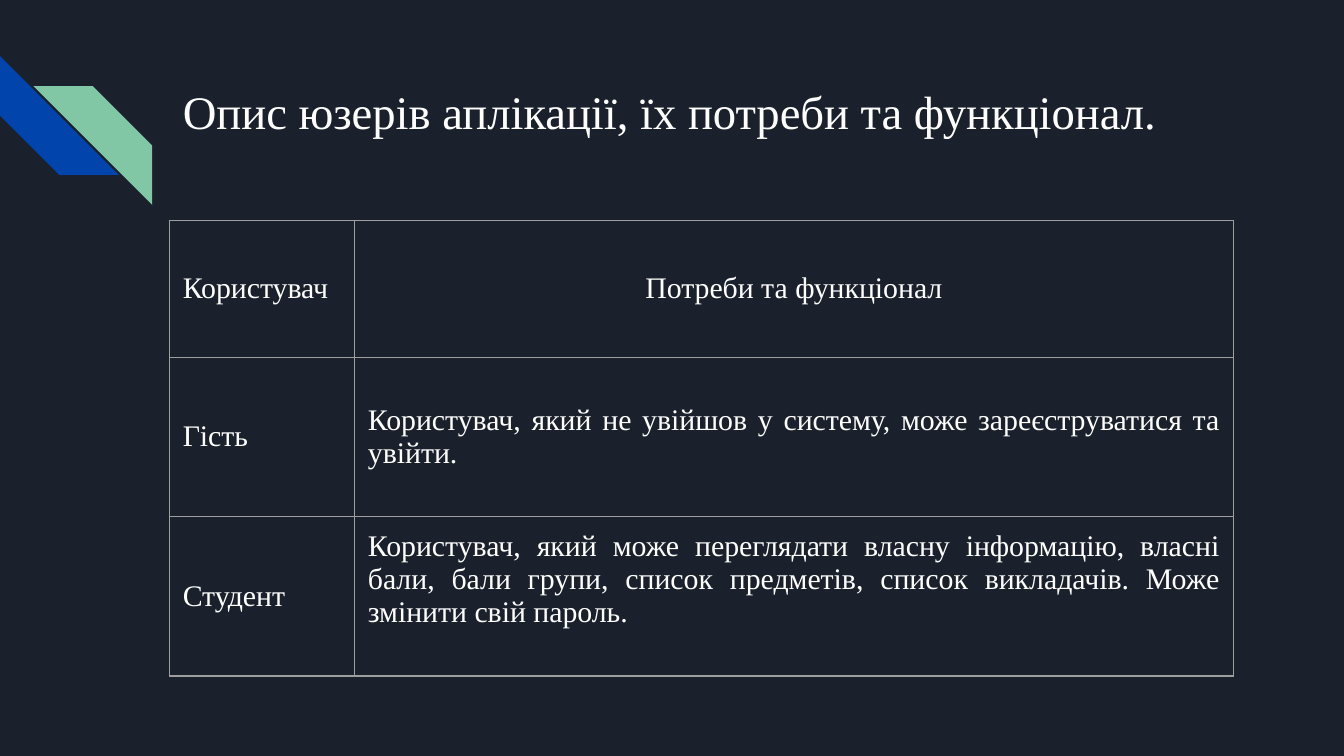
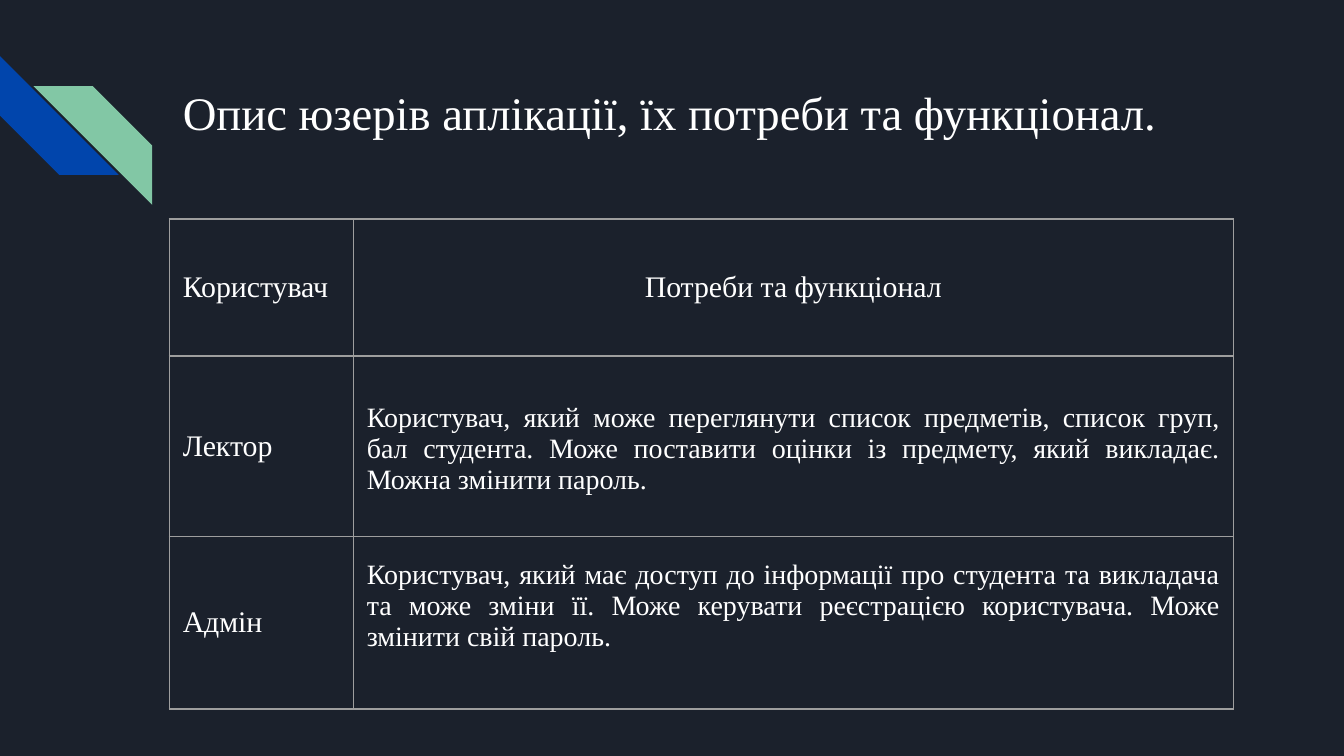
"""Builds two dark slides that list the application's users and their needs."""
from lxml.etree import SubElement
from pptx import Presentation
from pptx.dml.color import RGBColor
from pptx.enum.shapes import MSO_SHAPE
from pptx.enum.text import MSO_ANCHOR, MSO_AUTO_SIZE, PP_ALIGN
from pptx.oxml.ns import qn
from pptx.util import Pt

NIGHT = RGBColor(0x1B, 0x21, 0x2C)
BLUE = RGBColor(0x01, 0x45, 0xAC)
GREEN = RGBColor(0x82, 0xC7, 0xA5)
WHITE = RGBColor(0xFF, 0xFF, 0xFF)
GREY = RGBColor(0x9E, 0x9E, 0x9E)
FONT = "Times New Roman"
INSET = 7.2
DEEP_INSET = 25
LEFT = 90.7
TABLE_WIDTH = 570.2
STRIPE_SIZE = 63.6

TITLE = "Опис юзерів аплікації, їх потреби та функціонал."
HEADER = [("Користувач", {}), ("Потреби та функціонал", {"align": PP_ALIGN.CENTER})]
SLIDES = [
    {
        "title_top": 32.6, "table_top": 118, "first_column": 99.2,
        "heights": [73.4, 85.2, 85.6],
        "rows": [
            HEADER,
            [("Гість", {}),
             ("Користувач, який не увійшов у систему, може зареєструватися та увійти.", {})],
            [("Студент", {}),
             ("Користувач, який може переглядати власну інформацію, власні бали, бали групи, "
              "список предметів, список викладачів. Може змінити свій пароль.",
              {"bottom": DEEP_INSET})],
        ],
    },
    {
        "title_top": 33.4, "table_top": 117.3, "first_column": 98.6,
        "heights": [73.4, 96.8, 92.4],
        "rows": [
            HEADER,
            [("Лектор", {}),
             ("Користувач, який може переглянути список предметів, список груп, бал студента. "
              "Може поставити оцінки із предмету, який викладає. Можна змінити пароль.",
              {"size": 15, "top": DEEP_INSET, "anchor": MSO_ANCHOR.TOP})],
            [("Адмін", {}),
             ("Користувач, який має доступ до інформації про студента та викладача та може "
              "зміни її. Може керувати реєстрацією користувача. Може змінити свій пароль.",
              {"size": 15, "bottom": DEEP_INSET})],
        ],
    },
]


def write(frame, text, size=16, align=PP_ALIGN.JUSTIFY, anchor=MSO_ANCHOR.MIDDLE,
          top=INSET, bottom=INSET):
    frame.word_wrap = True
    frame.vertical_anchor = anchor
    frame.margin_left = frame.margin_right = Pt(INSET)
    frame.margin_top, frame.margin_bottom = Pt(top), Pt(bottom)
    para = frame.paragraphs[0]
    para.alignment = align
    span = para.add_run()
    span.text = text
    span.font.name, span.font.size = FONT, Pt(size)
    span.font.color.rgb = WHITE
    return para


def add_stripe(page, left, top, color):
    stripe = page.shapes.add_shape(MSO_SHAPE.DIAGONAL_STRIPE, Pt(left), Pt(top),
                                   Pt(STRIPE_SIZE), Pt(STRIPE_SIZE))
    stripe.adjustments[0] = 0.5
    stripe.shadow.inherit = False
    stripe.fill.solid()
    stripe.fill.fore_color.rgb = color
    stripe.line.fill.background()
    return stripe


def add_stripes(page):
    add_stripe(page, 0, 30.1, BLUE).rotation = 270
    green = add_stripe(page, 18, 46.2, GREEN)
    green.element.spPr.find(qn("a:xfrm")).set("flipH", "1")


def add_title(page, top):
    box = page.shapes.title
    box.left, box.top, box.width, box.height = Pt(LEFT), Pt(top), Pt(554.4), Pt(72)
    box.text_frame.auto_size = MSO_AUTO_SIZE.NONE
    para = write(box.text_frame, TITLE, size=25, anchor=MSO_ANCHOR.TOP)
    para.line_spacing = 1.15
    para.space_after = Pt(12)


def outline(cell):
    properties = cell._tc.get_or_add_tcPr()
    for side in ("lnL", "lnR", "lnT", "lnB"):
        line = SubElement(properties, qn(f"a:{side}"), w=str(Pt(0.75)))
        fill = SubElement(line, qn("a:solidFill"))
        SubElement(fill, qn("a:srgbClr"), val=str(GREY))


def add_user_table(page, content):
    rows, heights = content["rows"], content["heights"]
    table = page.shapes.add_table(len(rows), 2, Pt(LEFT), Pt(content["table_top"]),
                                  Pt(TABLE_WIDTH), Pt(sum(heights))).table
    table.first_row = table.horz_banding = False
    table.columns[0].width = Pt(content["first_column"])
    table.columns[1].width = Pt(TABLE_WIDTH - content["first_column"])
    for row, height, cells in zip(table.rows, heights, rows):
        row.height = Pt(height)
        for cell, (text, style) in zip(row.cells, cells):
            outline(cell)
            cell.fill.background()
            write_cell(cell, text, **style)


def write_cell(cell, text, anchor=MSO_ANCHOR.MIDDLE, top=INSET, bottom=INSET, **style):
    write(cell.text_frame, text, **style)
    cell.vertical_anchor = anchor
    cell.margin_left = cell.margin_right = Pt(INSET)
    cell.margin_top, cell.margin_bottom = Pt(top), Pt(bottom)


def main():
    deck = Presentation()
    deck.slide_width, deck.slide_height = Pt(720), Pt(405)
    background = deck.slide_master.background.fill
    background.solid()
    background.fore_color.rgb = NIGHT
    for content in SLIDES:
        page = deck.slides.add_slide(deck.slide_layouts[5])
        add_stripes(page)
        add_title(page, content["title_top"])
        add_user_table(page, content)
    deck.save("out.pptx")


if __name__ == "__main__":
    main()
